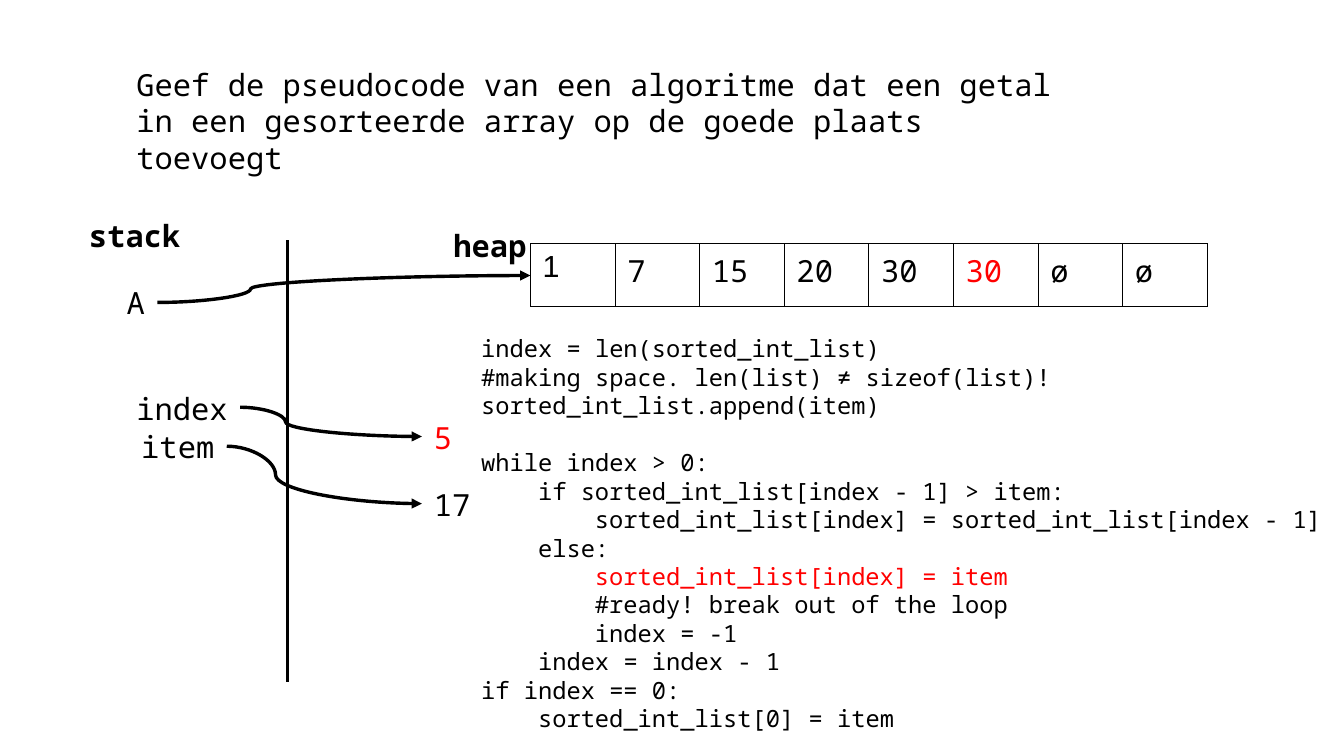
"""Build a slide on inserting a number into a sorted array, with stack, heap and pseudocode."""
import pptx
import pptx.dml.color
import pptx.enum.shapes
import pptx.enum.text
import pptx.oxml
import pptx.oxml.ns
import pptx.util
from lxml import etree

Pt = pptx.util.Pt
qn = pptx.oxml.ns.qn
COLORS = {"ink": "000000", "accent": "FF0000"}
MONO = "Noto Sans Mono"

presentation = pptx.Presentation()
presentation.slide_width = Pt(793.5)
presentation.slide_height = Pt(446.4)
slide = presentation.slides.add_slide(presentation.slide_layouts[6])


def write(paragraph, text, color="ink", **changes):
    run = paragraph.add_run()
    run.text = text
    for name, value in {"name": MONO, "size": Pt(18), "bold": False, **changes}.items():
        setattr(run.font, name, value)
    run.font.color.rgb = pptx.dml.color.RGBColor.from_string(COLORS[color])


def add_line(kind, *ends):
    line = slide.shapes.add_connector(kind, *map(Pt, ends))
    line.line.color.rgb = pptx.dml.color.RGBColor.from_string(COLORS["ink"])
    line.line.width = Pt(0)
    etree.SubElement(line._element.spPr, qn("a:effectLst"))
    return line


labels = [
    ("Geef de pseudocode van een algoritme dat een getal in een gesorteerde array "
     "op de goede plaats toevoegt", 73.4, 35.3, 572.4, 69.8, True, False, "ink"),
    ("stack", 45.4, 124.6, 68.4, 31.7, False, True, "ink"),
    ("heap", 260.6, 130.3, 59, 31.7, False, True, "ink"),
    ("A", 67.7, 164.2, 25.9, 31.7, False, False, "ink"),
    ("index", 73.4, 226.8, 68.4, 31.7, False, False, "ink"),
    ("item", 76.3, 249.1, 57.6, 31.7, False, False, "ink"),
    ("5", 249.1, 244.1, 25.2, 31.7, False, False, "accent"),
    ("17", 249.1, 283.7, 36, 31.7, False, False, "ink"),
]
for text, left, top, width, height, wraps, bold, color in labels:
    frame = slide.shapes.add_textbox(Pt(left), Pt(top), Pt(width), Pt(height)).text_frame
    frame.word_wrap = wraps
    frame.auto_size = pptx.enum.text.MSO_AUTO_SIZE.SHAPE_TO_FIT_TEXT
    write(frame.paragraphs[0], text, color, bold=bold)

values = ["1", "7", "15", "20", "30", "30", "ø", "ø"]
table_shape = slide.shapes.add_table(1, len(values), Pt(313.2), Pt(144), Pt(399.6), Pt(36.7))
table = table_shape.table
table.first_row = table.horz_banding = False
for column, value in enumerate(values):
    cell = table.cell(0, column)
    write(cell.text_frame.paragraphs[0], value, "accent" if column == 5 else "ink",
          name="Arial" if column == 0 else MONO)
    properties = cell._tc.get_or_add_tcPr()
    for side in ("a:lnL", "a:lnR", "a:lnT", "a:lnB"):
        border = etree.SubElement(properties, qn(side), w=str(Pt(0.57)))
        fill = etree.SubElement(border, qn("a:solidFill"))
        etree.SubElement(fill, qn("a:srgbClr"), val=COLORS["ink"])
    cell.fill.background()

add_line(pptx.enum.shapes.MSO_CONNECTOR.STRAIGHT, 169.9, 141.8, 169.9, 402.5)
for ends in [(92.9, 178.6, 313.2, 162.7), (141.8, 240.5, 249.1, 257.8),
             (133.9, 263.5, 249.1, 297.4)]:
    arrow = add_line(pptx.enum.shapes.MSO_CONNECTOR.CURVE, *ends)
    etree.SubElement(arrow.line._get_or_add_ln(), qn("a:tailEnd"), type="triangle")
    adjustments = arrow._element.spPr.find(qn("a:prstGeom")).get_or_add_avLst()
    etree.SubElement(adjustments, qn("a:gd"), name="adj1", fmla="val 25000")

code = [
    (1, "index = len(sorted_int_list)"),
    (1, "#making space. len(list) ≠ sizeof(list)!"),
    (1, "sorted_int_list.append(item)"),
    (1, "while index > 0:"),
    (2, "if sorted_int_list[index - 1] > item:"),
    (3, "sorted_int_list[index] = sorted_int_list[index - 1]"),
    (2, "else:"),
    (3, "sorted_int_list[index] = item"),
    (3, "#ready! break out of the loop"),
    (3, "index = -1"),
    (2, "index = index - 1"),
    (1, "if index == 0:"),
    (2, "sorted_int_list[0] = item"),
]
frame = slide.shapes.add_textbox(Pt(243.4), Pt(193.7), Pt(561.6), Pt(274.3)).text_frame
frame.word_wrap = True
frame.auto_size = pptx.enum.text.MSO_AUTO_SIZE.SHAPE_TO_FIT_TEXT
for number, (level, text) in enumerate(code):
    paragraph = frame.add_paragraph() if number else frame.paragraphs[0]
    paragraph._p.get_or_add_pPr().set("marL", str(Pt(33.6 * level)))
    if text.startswith("while"):
        paragraph.space_before = Pt(16.8)
    write(paragraph, text, "accent" if number == 7 else "ink", size=Pt(14))

presentation.save("out.pptx")
